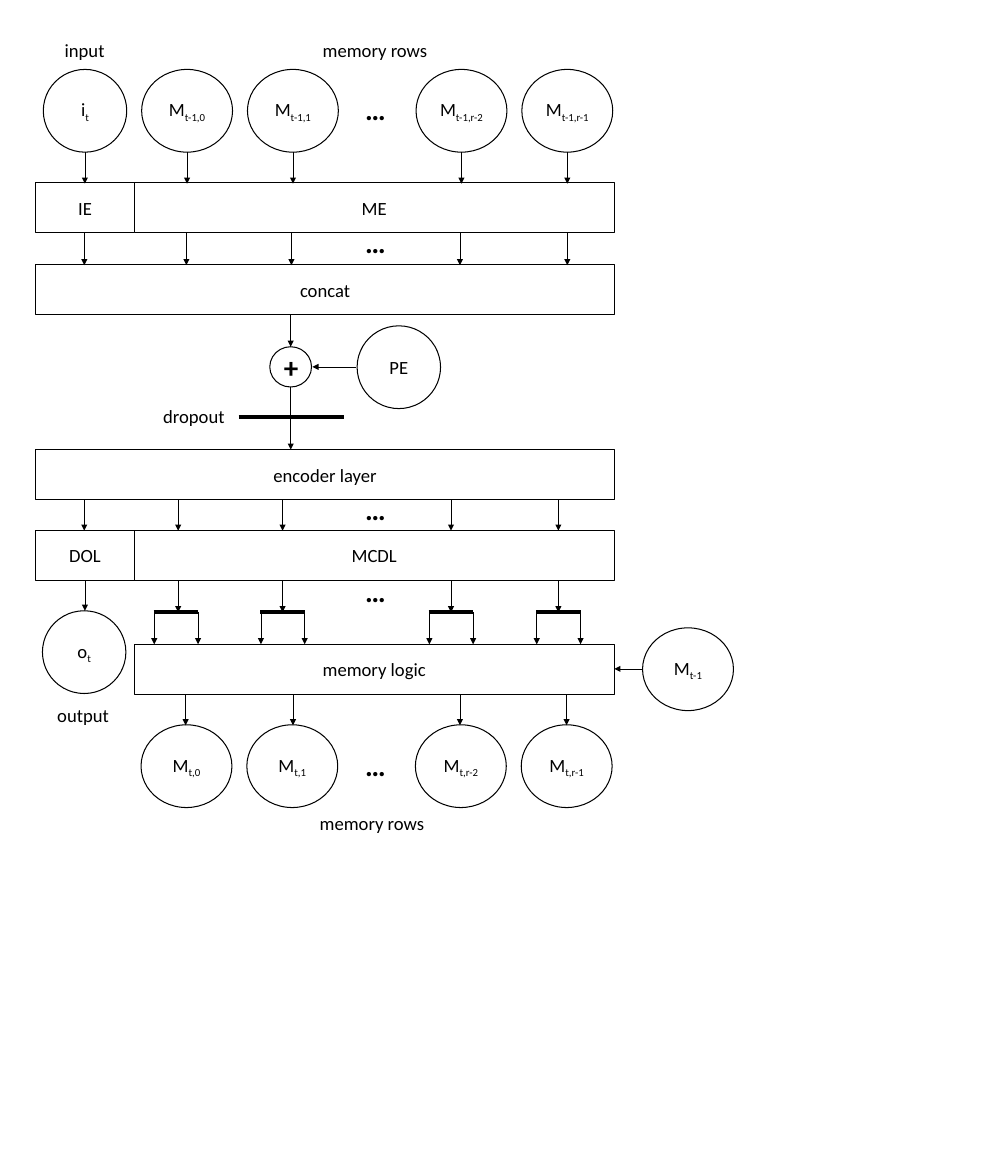
"""Draw the memory encoder architecture diagram on a single slide."""
from dataclasses import dataclass

from lxml import etree
from pptx import Presentation
from pptx.dml.color import RGBColor
from pptx.enum.shapes import MSO_CONNECTOR, MSO_SHAPE
from pptx.enum.text import MSO_ANCHOR, PP_ALIGN
from pptx.oxml.ns import qn
from pptx.text.text import TextFrame
from pptx.util import Pt

BLACK = RGBColor(0x00, 0x00, 0x00)
WHITE = RGBColor(0xFF, 0xFF, 0xFF)
FONT = "Calibri"

LAYER_LEFT, LAYER_WIDTH, LAYER_HEIGHT = 34.6, 558.7, 48.2
SPLIT = 129.6
CIRCLE_HEIGHT, SMALL_WIDTH, MEMORY_WIDTH = 79.9, 80.6, 87.8
MEMORY_LEFTS = (136.8, 239, 401.8, 504)
FORK_LEFTS, FORK_WIDTH = (149, 252, 414.7, 518.4), 42.3
EMBED_TOP, CONCAT_TOP, ENCODER_TOP, DECODE_TOP, LOGIC_TOP = 176.4, 255.6, 434.2, 511.9, 622.1
INPUT_TOP, OUTPUT_TOP, ROWS_TOP = 67, 589.7, 699.8
FORK_TOP = 591.2
SUM_X, SUM_Y = 280.8, 354.2


@dataclass(frozen=True)
class Node:
    """A box or circle with centred text and an optional subscript."""
    kind: MSO_SHAPE
    left: float
    top: float
    width: float
    height: float
    text: str = ""
    subscript: str = ""


@dataclass(frozen=True)
class Label:
    """Free text without an outline."""
    text: str
    left: float
    top: float
    width: float
    height: float = 28.8
    size: float = 18
    bold: bool = False


@dataclass(frozen=True)
class Line:
    """A straight line, with an arrowhead at its end unless it is a bar."""
    x1: float
    y1: float
    x2: float
    y2: float
    weight: float = 0.5
    arrow: bool = True


def layer(text: str, top: float, left: float = LAYER_LEFT, right: float = LAYER_LEFT + LAYER_WIDTH) -> Node:
    """Return a layer box between two sides."""
    return Node(MSO_SHAPE.RECTANGLE, left, top, right - left, LAYER_HEIGHT, text)


def circle(text: str, subscript: str, left: float, top: float, width: float) -> Node:
    """Return a circle of the common height."""
    return Node(MSO_SHAPE.OVAL, left, top, width, CIRCLE_HEIGHT, text, subscript)


def memory_row(prefix: str, top: float, shift: float = 0) -> list[Node]:
    """Return the four circles of a memory state."""
    return [circle("M", f"{prefix},{row}", left + shift, top, MEMORY_WIDTH)
            for row, left in zip(("0", "1", "r-2", "r-1"), MEMORY_LEFTS)]


def arrows_down(xs: tuple[float, ...], top: float, bottom: float) -> list[Line]:
    """Return one downward arrow for each x."""
    return [Line(x, top, x, bottom) for x in xs]


def fork(left: float) -> list[Line]:
    """Return a heavy bar with an arrow below each end."""
    right = left + FORK_WIDTH
    return [Line(left - 0.7, FORK_TOP, right, FORK_TOP, 4, False),
            *arrows_down((left, right), FORK_TOP, LOGIC_TOP)]


def add_run(frame: TextFrame, text: str, size: float, bold: bool = False, baseline: int = 0) -> None:
    """Append a formatted run to the first paragraph."""
    run = frame.paragraphs[0].add_run()
    run.text = text
    run.font.name, run.font.size, run.font.bold = FONT, Pt(size), bold
    run.font.color.rgb = BLACK
    if baseline:
        run._r.get_or_add_rPr().set("baseline", str(baseline))


def draw_node(slide, node: Node) -> None:
    """Draw a box or circle."""
    shape = slide.shapes.add_shape(node.kind, Pt(node.left), Pt(node.top), Pt(node.width), Pt(node.height))
    shape.shadow.inherit = False
    shape.fill.solid()
    shape.fill.fore_color.rgb = WHITE
    shape.line.color.rgb = BLACK
    shape.line.width = Pt(1)
    frame = shape.text_frame
    frame.vertical_anchor = MSO_ANCHOR.MIDDLE
    frame.paragraphs[0].alignment = PP_ALIGN.CENTER
    if node.text:
        add_run(frame, node.text, 18)
    if node.subscript:
        add_run(frame, node.subscript, 18, baseline=-25000)


def draw_label(slide, label: Label) -> None:
    """Draw free text."""
    box = slide.shapes.add_textbox(Pt(label.left), Pt(label.top), Pt(label.width), Pt(label.height))
    box.text_frame.word_wrap = True
    add_run(box.text_frame, label.text, label.size, label.bold)


def draw_line(slide, line: Line) -> None:
    """Draw a bar or an arrow."""
    connector = slide.shapes.add_connector(
        MSO_CONNECTOR.STRAIGHT, Pt(line.x1), Pt(line.y1), Pt(line.x2), Pt(line.y2))
    connector.line.color.rgb = BLACK
    connector.line.width = Pt(line.weight)
    if line.arrow:
        etree.SubElement(connector.line._get_or_add_ln(), qn("a:tailEnd")).set("type", "triangle")
    etree.SubElement(connector._element.spPr, qn("a:effectLst"))


NODES = [
    circle("i", "t", 41.8, INPUT_TOP, SMALL_WIDTH),
    *memory_row("t-1", INPUT_TOP),
    layer("IE", EMBED_TOP, right=SPLIT),
    layer("ME", EMBED_TOP, left=SPLIT),
    layer("concat", CONCAT_TOP),
    Node(MSO_SHAPE.OVAL, SUM_X - 20.2, SUM_Y - 19.4, 40.3, 38.9),
    circle("PE", "", 344.9, 314.6, SMALL_WIDTH),
    layer("encoder layer", ENCODER_TOP),
    layer("DOL", DECODE_TOP, right=SPLIT),
    layer("MCDL", DECODE_TOP, left=SPLIT),
    circle("o", "t", 41, OUTPUT_TOP, SMALL_WIDTH),
    layer("memory logic", LOGIC_TOP, left=SPLIT),
    *memory_row("t", ROWS_TOP, -0.6),
    circle("M", "t-1", 620.6, 606.2, MEMORY_WIDTH),
]

DECODE_XS = (172.1, 272.9, 435.6, 539.3)
LINES = [
    *arrows_down((82, 180.7, 283, 445.7, 547.9), INPUT_TOP + CIRCLE_HEIGHT, EMBED_TOP + 1),
    *arrows_down((81.4, 180, 281.5, 444.2, 547.9), EMBED_TOP + LAYER_HEIGHT + 0.7, CONCAT_TOP + 0.5),
    *arrows_down((SUM_X,), CONCAT_TOP + LAYER_HEIGHT, SUM_Y - 19.4),
    *arrows_down((SUM_X,), SUM_Y + 19.4, ENCODER_TOP),
    Line(343.4, SUM_Y, 301.7, SUM_Y),
    Line(230.4, 402.5, 332.6, 402.5, 4, False),
    *arrows_down((81.4, *DECODE_XS), ENCODER_TOP + LAYER_HEIGHT, DECODE_TOP + 0.5),
    *arrows_down((82,), DECODE_TOP + LAYER_HEIGHT, OUTPUT_TOP),
    *arrows_down(DECODE_XS, DECODE_TOP + LAYER_HEIGHT, FORK_TOP),
    *(line for left in FORK_LEFTS for line in fork(left)),
    *arrows_down((179.3, 283, 444.2, 547.2), LOGIC_TOP + LAYER_HEIGHT, ROWS_TOP + 0.5),
    Line(620.6, 645.8, 593.3, 645.8),
]

LABELS = [
    Label("input", 55.4, 33.8, 66.2),
    Label("memory rows", 304.6, 33.8, 131),
    Label("dropout", 150.5, 387.4, 88.6),
    Label("output", 48.2, 676.1, 66.2),
    Label("memory rows", 301.7, 780.5, 131),
    Label("+", 267.1, 334.1, 34.6, 41, 28, True),
    *(Label("…", 345.6, top, 31.7, 41, 28, True) for top in (85, 213.1, 470.9, 550.1, 717.8)),
]


def main() -> None:
    """Build and save the slide."""
    deck = Presentation()
    deck.slide_width, deck.slide_height = Pt(960), Pt(1135.44)
    slide = deck.slides.add_slide(deck.slide_layouts[6])
    for node in NODES:
        draw_node(slide, node)
    for line in LINES:
        draw_line(slide, line)
    for label in LABELS:
        draw_label(slide, label)
    deck.save("out.pptx")


main()
